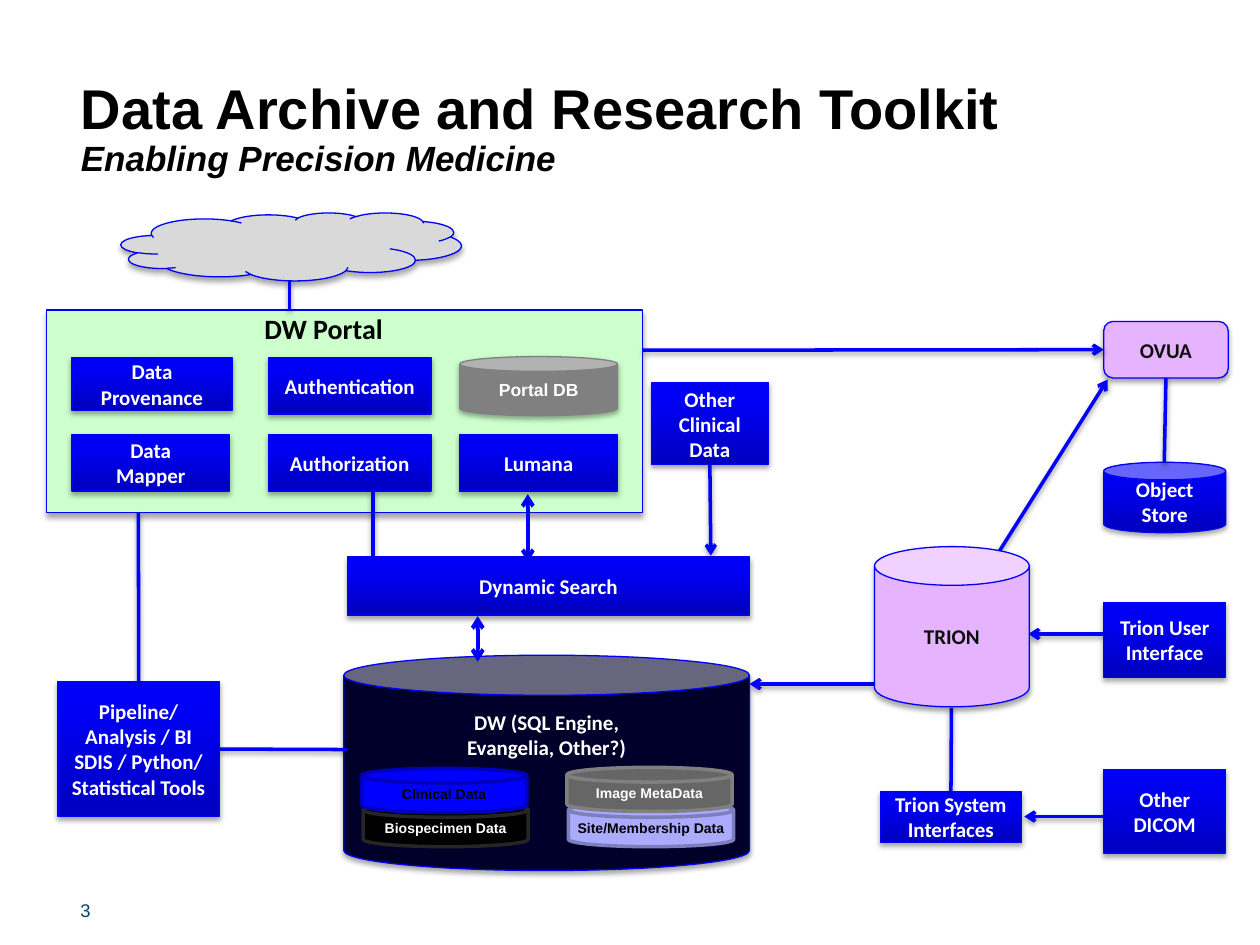
from lxml.etree import SubElement
from pptx import Presentation
from pptx.dml.color import RGBColor
from pptx.enum.shapes import MSO_CONNECTOR, MSO_SHAPE as SHAPE
from pptx.enum.text import MSO_ANCHOR as ANCHOR, MSO_AUTO_SIZE as AUTO, PP_ALIGN as ALIGN
from pptx.oxml.ns import qn
from pptx.util import Cm, Pt

COLORS = {
    "black": "000000", "ink": "0D0D0D", "white": "FFFFFF",
    "blue": "0000FF", "edge": "0000F9", "deep": "0000BE", "bright": "0000F7",
    "mint": "CCFFCC", "lilac": "E6B3FF", "navy": "00002A", "cloud": "D9D9D9",
    "gray": "808080", "dark_gray": "666666", "coal": "262626",
    "lavender": "AAAAFF", "lavender_edge": "7E7EBD", "blue_edge": "0000BD",
    "number": "00446A",
}
LABEL = {"name": "Calibri", "size": Pt(12), "bold": True}
SMALL = {"name": "Arial", "size": Pt(8), "bold": True}


def rgb(name):
    return RGBColor.from_string(COLORS[name])


def style_font(font, color, formats):
    for key, value in formats.items():
        setattr(font, key, value)
    font.color.rgb = rgb(color)


def set_frame(tf, formats):
    for key, value in formats.items():
        setattr(tf, key, value)


def add_shadow(effects, alpha, dist):
    shadow = SubElement(effects, qn("a:outerShdw"), blurRad=str(Pt(3.1)),
                        dist=str(Pt(dist)), dir="5400000", rotWithShape="0")
    color = SubElement(shadow, qn("a:srgbClr"), val=COLORS["black"])
    SubElement(color, qn("a:alpha"), val=str(alpha * 1000))


def add_label(tf, lines, color, formats, align=ALIGN.CENTER):
    for i, line in enumerate(lines.split("\n")):
        p = tf.paragraphs[0] if i == 0 else tf.add_paragraph()
        p.alignment = align
        r = p.add_run()
        r.text = line
        style_font(r.font, color, formats)


def add_node(s, kind, box, text="", fill=None, color="white", edge="edge",
             width=0.75, formats=LABEL, shadow=True):
    """Filled shape with a centred label; blue gradient unless a fill is named."""
    sp = s.shapes.add_shape(kind, *map(Cm, box))
    if fill:
        sp.fill.solid()
        sp.fill.fore_color.rgb = rgb(fill)
    else:
        sp.fill.gradient()
        sp.fill.gradient_angle = 90
        for stop, name, at in zip(sp.fill.gradient_stops, ("deep", "bright"), (0, 0.8)):
            stop.color.rgb = rgb(name)
            stop.position = at
    sp.line.color.rgb = rgb(edge)
    sp.line.width = Pt(width)
    sp.shadow.inherit = False
    if shadow:
        add_shadow(sp._element.spPr.find(qn("a:effectLst")), 35, 1.8)
    if text:
        sp.text_frame.vertical_anchor = ANCHOR.MIDDLE
        add_label(sp.text_frame, text, color, formats)
    return sp


def add_disk(s, left, top, text, fill, edge, color):
    sp = add_node(s, SHAPE.FLOWCHART_MAGNETIC_DISK, (left, top, 3.33, 0.89), text,
                  fill, color, edge, 2, SMALL, shadow=False)
    sides = ("left", "right", "top", "bottom")
    set_frame(sp.text_frame, {f"margin_{side}": Cm(0.05) for side in sides})


def add_link(s, points, ends=(), begin=None, end=None, width=2, shadow=True):
    """Straight line; ends lists headEnd and/or tailEnd, begin/end are (shape, site)."""
    c = s.shapes.add_connector(MSO_CONNECTOR.STRAIGHT, *map(Cm, points))
    if begin:
        c.begin_connect(*begin)
    if end:
        c.end_connect(*end)
    c.line.color.rgb = rgb("blue")
    c.line.width = Pt(width)
    for tag in ends:
        SubElement(c.line._get_or_add_ln(), qn(f"a:{tag}"), type="arrow")
    effects = SubElement(c._element.spPr, qn("a:effectLst"))
    if shadow:
        add_shadow(effects, 38, 1.6)


def add_text(s, box, text, color, formats, wrap=True):
    sp = s.shapes.add_textbox(*map(Cm, box))
    sp.text_frame.word_wrap = wrap
    add_label(sp.text_frame, text, color, formats, ALIGN.LEFT)


def add_title(s, title, subtitle):
    sp = s.shapes.title
    box = {"left": 1.63, "top": 0.43, "width": 21.03, "height": 3.18}
    for key, value in box.items():
        setattr(sp, key, Cm(value))
    set_frame(sp.text_frame, {
        "margin_left": 0, "margin_right": 0, "margin_top": 0, "margin_bottom": 0,
        "vertical_anchor": ANCHOR.BOTTOM, "auto_size": AUTO.NONE, "word_wrap": True})
    p = sp.text_frame.paragraphs[0]
    p.alignment = ALIGN.LEFT
    p.line_spacing = 0.9
    for text, size, italic in ((title, 32, False), (subtitle, 20, True)):
        if p.runs:
            p.add_line_break()
        r = p.add_run()
        r.text = text
        style_font(r.font, "black", {"name": "Arial", "size": Pt(size),
                                     "bold": True, "italic": italic})


def main():
    prs = Presentation()
    prs.slide_width, prs.slide_height = Cm(25.4), Cm(19.05)
    s = prs.slides.add_slide(prs.slide_layouts[5])
    add_title(s, "Data Archive and Research Toolkit", "Enabling Precision Medicine")
    add_text(s, (1.37, 18.01, 2.54, 1.07), "3", "number",
             {"name": "Arial", "size": Pt(10.5)})

    # Portal with its modules
    portal = add_node(s, SHAPE.RECTANGLE, (0.94, 6.25, 12.01, 4.09), fill="mint")
    add_text(s, (5.08, 6.15, 2.92, 0.94), "DW Portal", "black",
             LABEL | {"size": Pt(16)}, wrap=False)
    columns, rows = (1.45, 5.41, 9.27), (7.21, 8.76)
    modules = [
        (0, 0, 3.23, 1.07, "Data Provenance"), (1, 0, 3.28, 1.14, "Authentication"),
        (0, 1, 3.18, 1.14, "Data\nMapper"), (1, 1, 3.28, 1.14, "Authorization"),
        (2, 1, 3.18, 1.14, "Lumana"),
    ]
    for col, row, width, height, text in modules:
        add_node(s, SHAPE.RECTANGLE, (columns[col], rows[row], width, height), text)
    portal_db = add_node(s, SHAPE.CAN, (columns[2], 7.19, 3.18, 1.19), "Portal DB",
                         "gray", edge="gray", formats=SMALL | {"size": Pt(10)})
    set_frame(portal_db.text_frame, {"margin_left": Cm(0.18), "margin_right": Cm(0.18),
                                     "margin_top": Cm(0.1), "margin_bottom": Cm(0.1)})
    add_node(s, SHAPE.CLOUD, (2.44, 4.29, 6.86, 1.37), fill="cloud")

    # Surrounding systems
    right = 22.25
    archive = add_node(s, SHAPE.ROUNDED_RECTANGLE, (right, 6.48, 2.51, 1.14), "OVUA",
                       "lilac", "ink")
    add_node(s, SHAPE.CAN, (right, 9.32, 2.46, 1.42), "Object Store")
    systems = {
        "clinical": ((13.13, 7.72, 2.36, 1.65), "Other Clinical Data"),
        "user": ((right, 12.14, 2.46, 1.52), "Trion User Interface"),
        "dicom": ((right, 15.52, 2.46, 1.68), "Other DICOM"),
        "interfaces": ((17.75, 15.95, 2.84, 1.04), "Trion System Interfaces"),
        "tools": ((1.17, 13.74, 3.25, 2.72),
                  "Pipeline/ Analysis / BI SDIS / Python/ Statistical Tools"),
    }
    node = {key: add_node(s, SHAPE.RECTANGLE, box, text)
            for key, (box, text) in systems.items()}

    # Data warehouse and its stores
    warehouse = add_node(s, SHAPE.CAN, (6.93, 13.21, 8.18, 4.34),
                         "DW (SQL Engine,\nEvangelia, Other?)", "navy")
    warehouse.adjustments[0] = 0.186
    warehouse.text_frame.margin_bottom = Cm(1.68)
    add_disk(s, 11.46, 16.18, "Site/Membership Data", "lavender", "lavender_edge", "black")
    add_disk(s, 7.32, 16.18, "Biospecimen Data", "black", "coal", "white")
    add_disk(s, 7.29, 15.49, "Clinical Data", "blue", "blue_edge", "black")
    add_disk(s, 11.43, 15.47, "Image MetaData", "dark_gray", "gray", "white")

    # Links that run up to or under the nodes
    arrow = ("tailEnd",)
    add_link(s, (5.84, 6.25, 5.84, 5.66))
    add_link(s, (23.5, 7.62, 23.47, 9.32), begin=(archive, 2))
    add_link(s, (14.33, 9.4, 14.33, 11.2), arrow, begin=(node["clinical"], 2))
    add_link(s, (17.63, 13.79, 15.11, 13.79), arrow)
    add_link(s, (right, 12.78, 20.73, 12.78), arrow)
    add_link(s, (20.09, 11.2, 22.33, 7.65), arrow)
    add_link(s, (7.52, 9.91, 7.52, 11.73))
    add_link(s, (12.95, 7.06, right, 7.06), arrow, end=(archive, 1))
    add_link(s, (right, 16.46, 20.65, 16.46), arrow)
    add_link(s, (19.18, 14.27, 19.18, 15.95), end=(node["interfaces"], 0))
    add_link(s, (4.42, 15.11, 7.01, 15.11), begin=(node["tools"], 3))
    add_link(s, (2.79, 13.74, 2.79, 10.34), begin=(node["tools"], 0))

    # Front nodes and two-way links
    add_node(s, SHAPE.CAN, (17.63, 11.02, 3.12, 3.23), "TRION", "lilac", "ink")
    add_node(s, SHAPE.RECTANGLE, (7.01, 11.23, 8.1, 1.17), "Dynamic Search")
    for x, top, bottom in ((9.63, 12.42, 13.34), (10.64, 9.96, 11.33)):
        add_link(s, (x, top, x, bottom), ("headEnd", "tailEnd"), width=2.25, shadow=False)

    prs.save("out.pptx")


if __name__ == "__main__":
    main()
